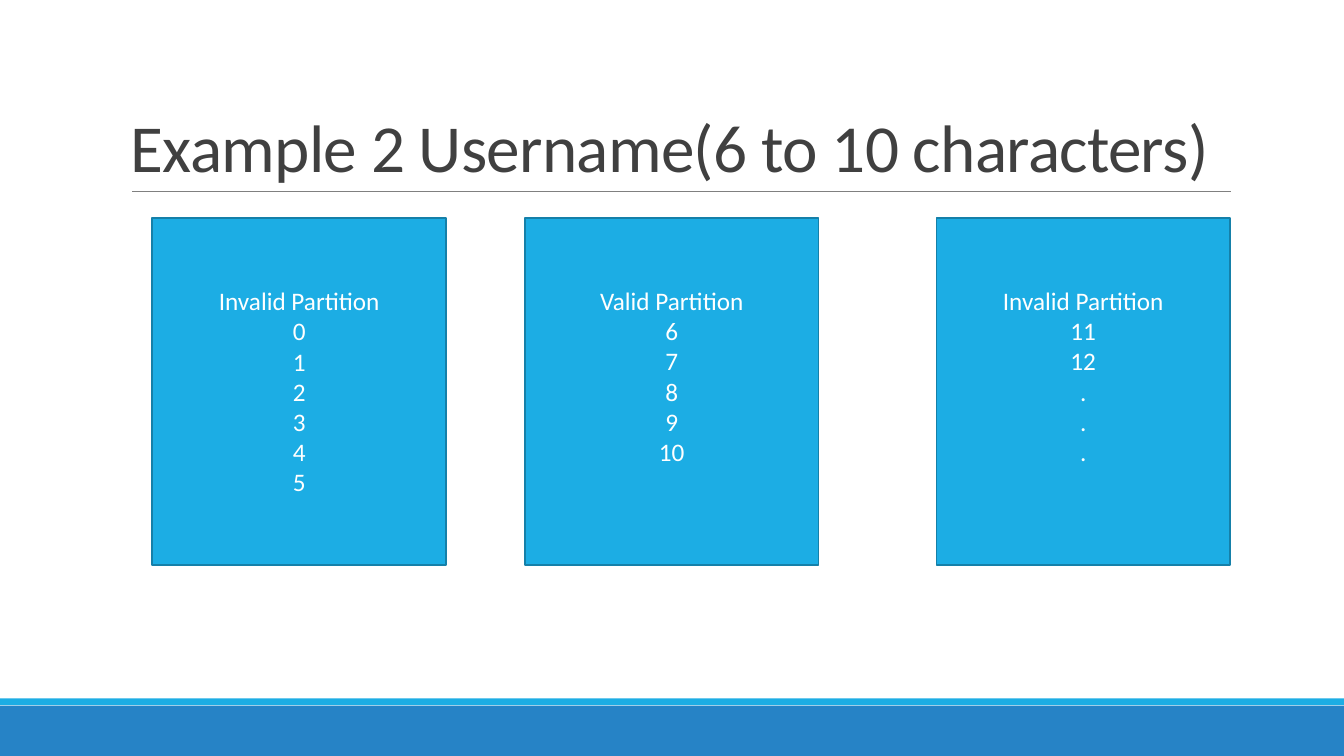
from dataclasses import dataclass
from lxml.etree import SubElement
from pptx import Presentation
from pptx.dml.color import RGBColor as RGB
from pptx.enum.shapes import MSO_CONNECTOR as Link, MSO_SHAPE as Shape
from pptx.enum.text import MSO_ANCHOR as Anchor, PP_ALIGN as Align
from pptx.oxml.ns import qn
from pptx.util import Cm, Pt


@dataclass(frozen=True)
class Theme:
    font: str = "Calibri"
    dark: RGB = RGB(0x40, 0x40, 0x40)
    white: RGB = RGB(0xFF, 0xFF, 0xFF)
    gray: RGB = RGB(0x80, 0x80, 0x80)
    sky: RGB = RGB(0x1C, 0xAD, 0xE4)
    edge: RGB = RGB(0x15, 0x80, 0xA9)
    blue: RGB = RGB(0x26, 0x83, 0xC6)
    head: int = 48
    body: int = 18


class Deck:
    def __init__(self, slide, theme):
        self.slide, self.theme = slide, theme

    def run(self, para, text, size, color):
        run = para.add_run()
        run.text = text
        font = run.font
        font.name, font.size = self.theme.font, Pt(size)
        font.color.rgb = color
        return run

    def bar(self, left, top, width, height, fill):
        bar = self.slide.shapes.add_shape(
            Shape.RECTANGLE, Cm(left), Cm(top), Cm(width), Cm(height))
        bar.shadow.inherit = False
        bar.fill.solid()
        bar.fill.fore_color.rgb = fill
        bar.line.fill.background()
        return bar

    def rule(self, left, right, top):
        rule = self.slide.shapes.add_connector(
            Link.STRAIGHT, Cm(left), Cm(top), Cm(right), Cm(top))
        rule.line.color.rgb = self.theme.gray
        rule.line.width = Pt(0.5)
        SubElement(rule._element.spPr, qn("a:effectLst"))

    def title(self, text, left, top, width, height):
        box = self.slide.shapes.add_textbox(
            Cm(left), Cm(top), Cm(width), Cm(height))
        frame = box.text_frame
        frame.word_wrap = True
        frame.vertical_anchor = Anchor.BOTTOM
        para = frame.paragraphs[0]
        para.line_spacing = 0.85
        run = self.run(para, text, self.theme.head, self.theme.dark)
        run.font._element.set("spc", "-50")

    def card(self, lines, left, top, width, height, rows):
        card = self.bar(left, top, width, height, self.theme.sky)
        card.line.color.rgb = self.theme.edge
        card.line.width = Pt(1.25)
        frame = card.text_frame
        frame.word_wrap = True
        frame.vertical_anchor = Anchor.MIDDLE
        # Shorter lists keep their first line level with the longest one
        frame.margin_bottom = Cm(0.13 + 0.77 * (rows - len(lines)))
        for i, text in enumerate(lines):
            para = frame.add_paragraph() if i else frame.paragraphs[0]
            para.alignment = Align.CENTER
            self.run(para, text, self.theme.body, self.theme.white)


def main():
    show = Presentation()
    show.slide_width, show.slide_height = Cm(33.87), Cm(19.05)
    theme = Theme()
    deck = Deck(show.slides.add_slide(show.slide_layouts[6]), theme)

    # Footer bands
    deck.bar(0, 17.78, 33.87, 1.27, theme.blue)
    deck.bar(0, 17.6, 33.87, 0.17, theme.sky)

    # Heading
    deck.rule(3.33, 31.01, 4.83)
    deck.title("Example 2 Username(6 to 10 characters)",
               3.05, 0.79, 27.94, 4.04)

    # Partitions of the name length
    cards = [
        (3.84, ["Invalid Partition", *map(str, range(6))]),
        (13.23, ["Valid Partition", *map(str, range(6, 11))]),
        (23.6, ["Invalid Partition", "11", "12", ".", ".", "."]),
    ]
    rows = max(len(lines) for _, lines in cards)
    for left, lines in cards:
        deck.card(lines, left, 5.49, 7.4, 8.74, rows)

    show.save("out.pptx")


if __name__ == "__main__":
    main()
